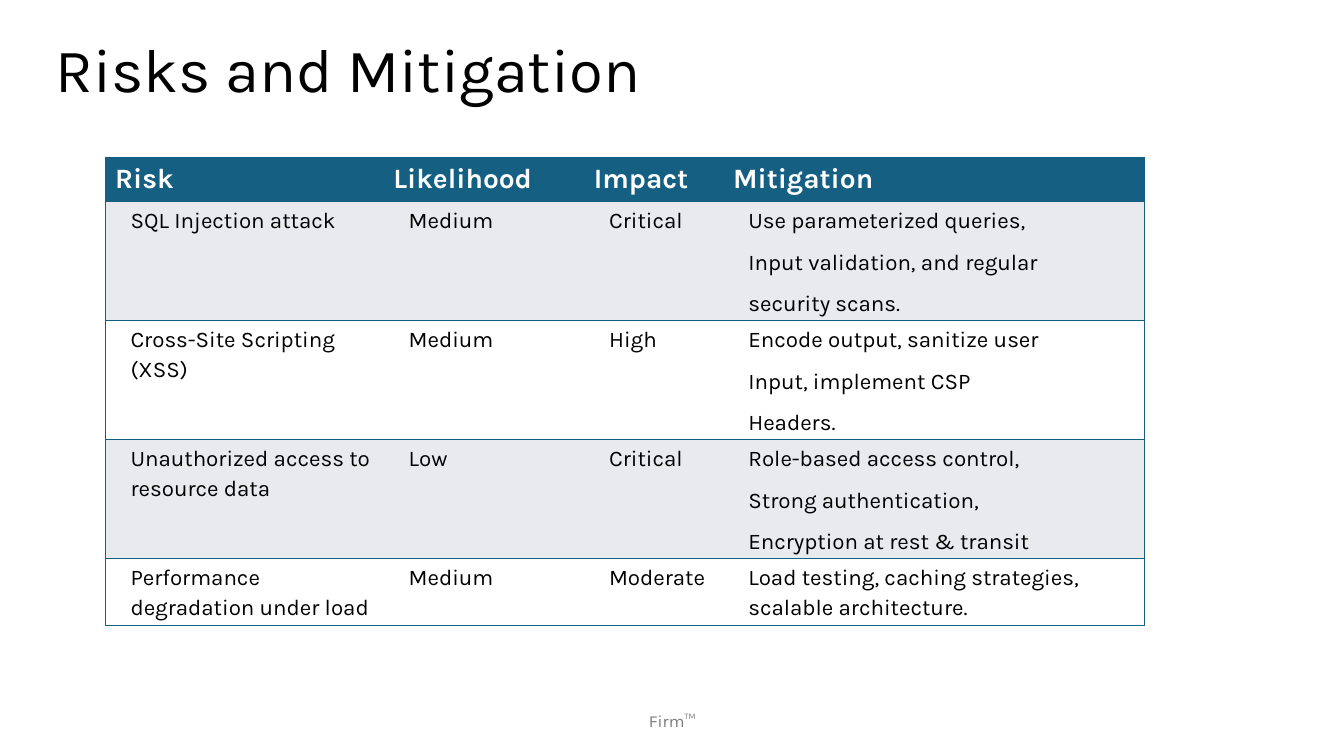
from lxml.etree import SubElement
from pptx import Presentation
from pptx.dml.color import RGBColor
from pptx.enum.text import MSO_ANCHOR as Anchor, MSO_AUTO_SIZE as AutoSize, PP_ALIGN as Align
from pptx.oxml import parse_xml
from pptx.oxml.ns import nsdecls, qn
from pptx.util import Cm, Pt

FONT = "Karla"
BLUE, GREY, WHITE, BLACK = "156082", "E8EAED", "FFFFFF", "000000"
COLUMN_WIDTHS = [7.01, 5.05, 3.51, 10.62]
ROW_HEIGHTS = [1.09, 3, 3, 3, 1.69]
HEADINGS = ["Risk", "Likelihood", "Impact", "Mitigation"]
RISKS = [
    ["SQL Injection attack", "Medium", "Critical",
     "Use parameterized queries,\nInput validation, and regular\nsecurity scans."],
    ["Cross-Site Scripting (XSS)", "Medium", "High",
     "Encode output, sanitize user\nInput, implement CSP\nHeaders."],
    ["Unauthorized access to resource data", "Low", "Critical",
     "Role-based access control,\nStrong authentication,\nEncryption at rest & transit"],
    ["Performance degradation under load", "Medium", "Moderate",
     "Load testing, caching strategies, scalable architecture."],
]


def set_font(paragraph, size, color, bold=False):
    font = paragraph.font
    font.name, font.size, font.bold = FONT, Pt(size), bold
    font.color.rgb = RGBColor.from_string(color)


def place(shape, left, top, width, height):
    shape.left, shape.top = Cm(left), Cm(top)
    shape.width, shape.height = Cm(width), Cm(height)


def add_title(slide, text):
    title = slide.shapes.title
    place(title, 1.14, 0, 29.21, 3.68)
    frame = title.text_frame
    frame.text = text
    frame.auto_size = AutoSize.NONE
    frame.vertical_anchor = Anchor.MIDDLE
    paragraph = frame.paragraphs[0]
    paragraph.alignment = Align.LEFT
    paragraph.line_spacing = 0.9
    set_font(paragraph, 44, BLACK)


def add_footer(slide, text):
    frame = slide.shapes.add_textbox(Cm(11.23), Cm(17.65), Cm(11.43), Cm(1.02)).text_frame
    frame.word_wrap = True
    frame.vertical_anchor = Anchor.MIDDLE
    frame.text = text
    paragraph = frame.paragraphs[0]
    paragraph.alignment = Align.CENTER
    set_font(paragraph, 12, "797979")


def set_borders(cell, visible_sides):
    """Draw the named sides in blue and hide the others."""
    properties = cell._tc.get_or_add_tcPr()
    for index, side in enumerate("LRTB"):
        line = parse_xml(f'<a:ln{side} {nsdecls("a")} w="12700"/>')
        if side in visible_sides:
            fill = SubElement(line, qn("a:solidFill"))
            SubElement(fill, qn("a:srgbClr")).set("val", BLUE)
        else:
            SubElement(line, qn("a:noFill"))
        properties.insert(index, line)


def fill_cell(cell, text, color):
    cell.text = text
    cell.fill.solid()
    cell.fill.fore_color.rgb = RGBColor.from_string(color)


def format_body_cell(cell):
    cell.margin_left = cell.margin_right = 0
    cell.margin_top = cell.margin_bottom = Cm(0.08)
    for paragraph in cell.text_frame.paragraphs:
        paragraph._p.get_or_add_pPr().set("marL", str(Cm(0.64)))
        paragraph.line_spacing = 1.15
        paragraph.space_after = Pt(8)
        set_font(paragraph, 16, BLACK)


def add_risk_table(slide):
    rows = [HEADINGS] + RISKS
    table = slide.shapes.add_table(
        len(rows), len(HEADINGS), Cm(2.65), Cm(3.98),
        Cm(sum(COLUMN_WIDTHS)), Cm(sum(ROW_HEIGHTS))).table
    table.horz_banding = False
    for column, width in zip(table.columns, COLUMN_WIDTHS):
        column.width = Cm(width)
    for row, height in zip(table.rows, ROW_HEIGHTS):
        row.height = Cm(height)
    for row_index, texts in enumerate(rows):
        for column_index, text in enumerate(texts):
            cell = table.cell(row_index, column_index)
            if row_index == 0:
                fill_cell(cell, text, BLUE)
                set_font(cell.text_frame.paragraphs[0], 20, WHITE, bold=True)
            else:
                fill_cell(cell, text, GREY if row_index % 2 else WHITE)
                format_body_cell(cell)
            outer_sides = {0: "L", len(HEADINGS) - 1: "R"}
            set_borders(cell, "TB" + outer_sides.get(column_index, ""))


def main():
    presentation = Presentation()
    presentation.slide_width, presentation.slide_height = Cm(33.87), Cm(19.05)
    slide = presentation.slides.add_slide(presentation.slide_layouts[5])
    add_title(slide, "Risks and Mitigation")
    add_risk_table(slide)
    add_footer(slide, "Firm™")
    presentation.save("out.pptx")


if __name__ == "__main__":
    main()
